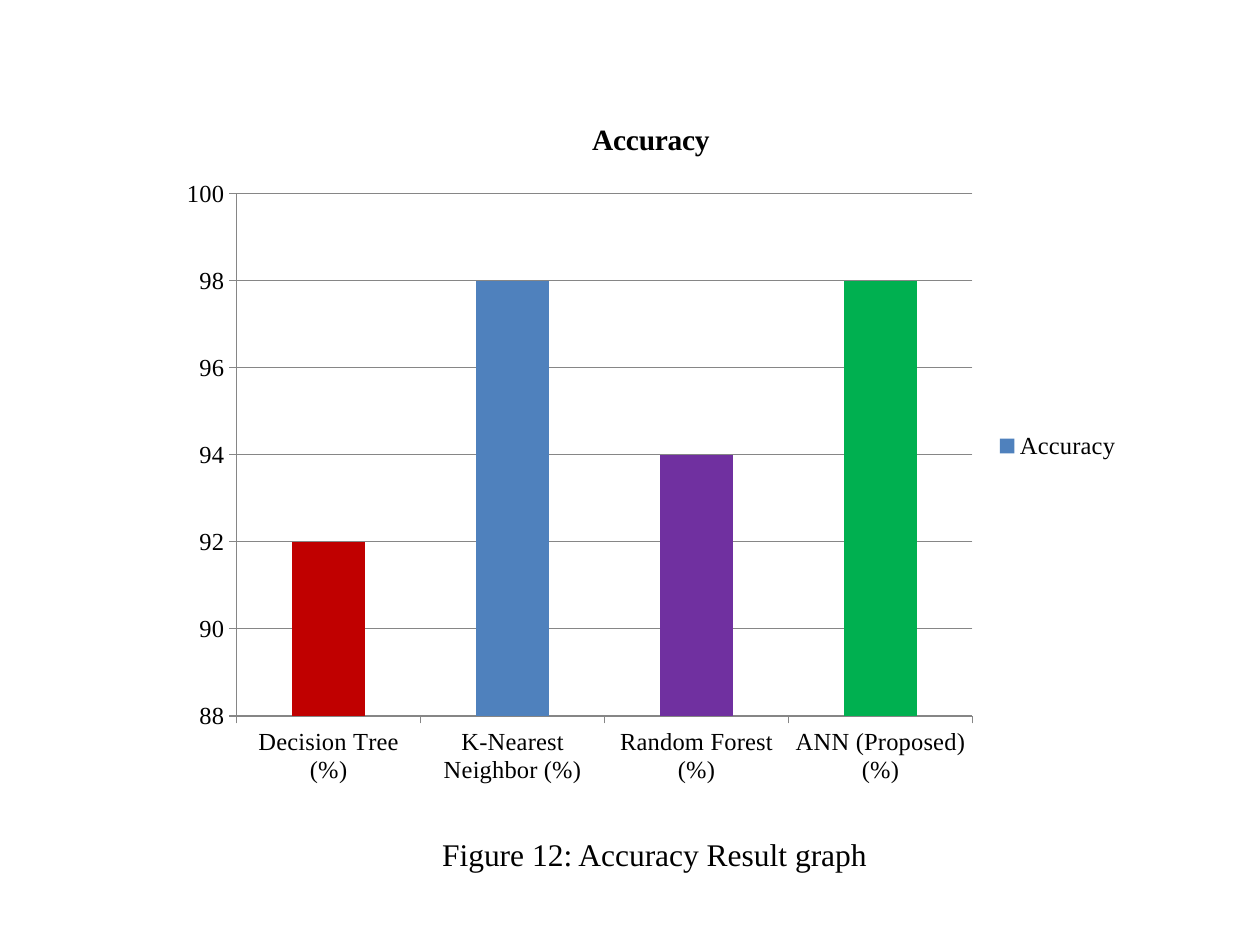
from pptx import Presentation
from pptx import util as u
from pptx.chart.data import CategoryChartData
from pptx.dml.color import RGBColor
from pptx.enum import chart as ch, text

# Content
TITLE = "Accuracy"
CAPTION = "Figure 12: Accuracy Result graph"
FONT = "Times New Roman"
BLACK = RGBColor(0x00, 0x00, 0x00)
GREY = RGBColor(0x86, 0x86, 0x86)
RED = RGBColor(0xC0, 0x00, 0x00)
BLUE = RGBColor(0x4F, 0x81, 0xBD)
PURPLE = RGBColor(0x70, 0x30, 0xA0)
GREEN = RGBColor(0x00, 0xB0, 0x50)
RESULTS = [
    ("Decision Tree (%)", 92, RED),
    ("K-Nearest Neighbor (%)", 98, BLUE),
    ("Random Forest (%)", 94, PURPLE),
    ("ANN (Proposed) (%)", 98, GREEN),
]


def style_font(font, size, bold=False):
    font.name = FONT
    font.size = u.Pt(size)
    font.bold = bold
    font.color.rgb = BLACK


deck = Presentation()
deck.slide_width, deck.slide_height = u.Inches(10), u.Inches(7.5)
page = deck.slides.add_slide(deck.slide_layouts[6])

# Caption
box = page.shapes.add_textbox(u.Inches(3.39), u.Inches(6.58), u.Inches(3.61), u.Inches(0.4))
frame = box.text_frame
frame.word_wrap = False
frame.auto_size = text.MSO_AUTO_SIZE.SHAPE_TO_FIT_TEXT
frame.vertical_anchor = text.MSO_ANCHOR.MIDDLE
para = frame.paragraphs[0]
para.alignment = text.PP_ALIGN.CENTER
span = para.add_run()
span.text = CAPTION
style_font(span.font, 18)

# Column chart
data = CategoryChartData()
data.categories = [name for name, _, _ in RESULTS]
data.add_series(TITLE, [value for _, value, _ in RESULTS])
chart = page.shapes.add_chart(
    ch.XL_CHART_TYPE.COLUMN_CLUSTERED,
    u.Inches(1.33), u.Inches(0.75), u.Inches(7.67), u.Inches(5.58), data).chart
style_font(chart.font, 14)

# Title and legend
chart.has_title = True
span = chart.chart_title.text_frame.paragraphs[0].add_run()
span.text = TITLE
style_font(span.font, 16.8, bold=True)
chart.chart_title.include_in_layout = False
chart.has_legend = True
chart.legend.position = ch.XL_LEGEND_POSITION.RIGHT
chart.legend.include_in_layout = False

# Bars, one colour each
plot = chart.plots[0]
plot.vary_by_categories = False
plot.gap_width = 150
series = plot.series[0]
series.format.fill.solid()
series.format.fill.fore_color.rgb = BLUE
for index, (_, _, colour) in enumerate(RESULTS):
    if colour != BLUE:
        fill = series.points[index].format.fill
        fill.solid()
        fill.fore_color.rgb = colour

# Axes and gridlines
scale = chart.value_axis
scale.minimum_scale, scale.maximum_scale, scale.major_unit = 88, 100, 2
scale.has_major_gridlines = True
for axis in (chart.category_axis, scale):
    axis.major_tick_mark = ch.XL_TICK_MARK.OUTSIDE
    axis.minor_tick_mark = ch.XL_TICK_MARK.NONE
for line in (chart.category_axis.format.line, scale.format.line,
             scale.major_gridlines.format.line):
    line.color.rgb = GREY
    line.width = u.Pt(0.75)

deck.save("out.pptx")
